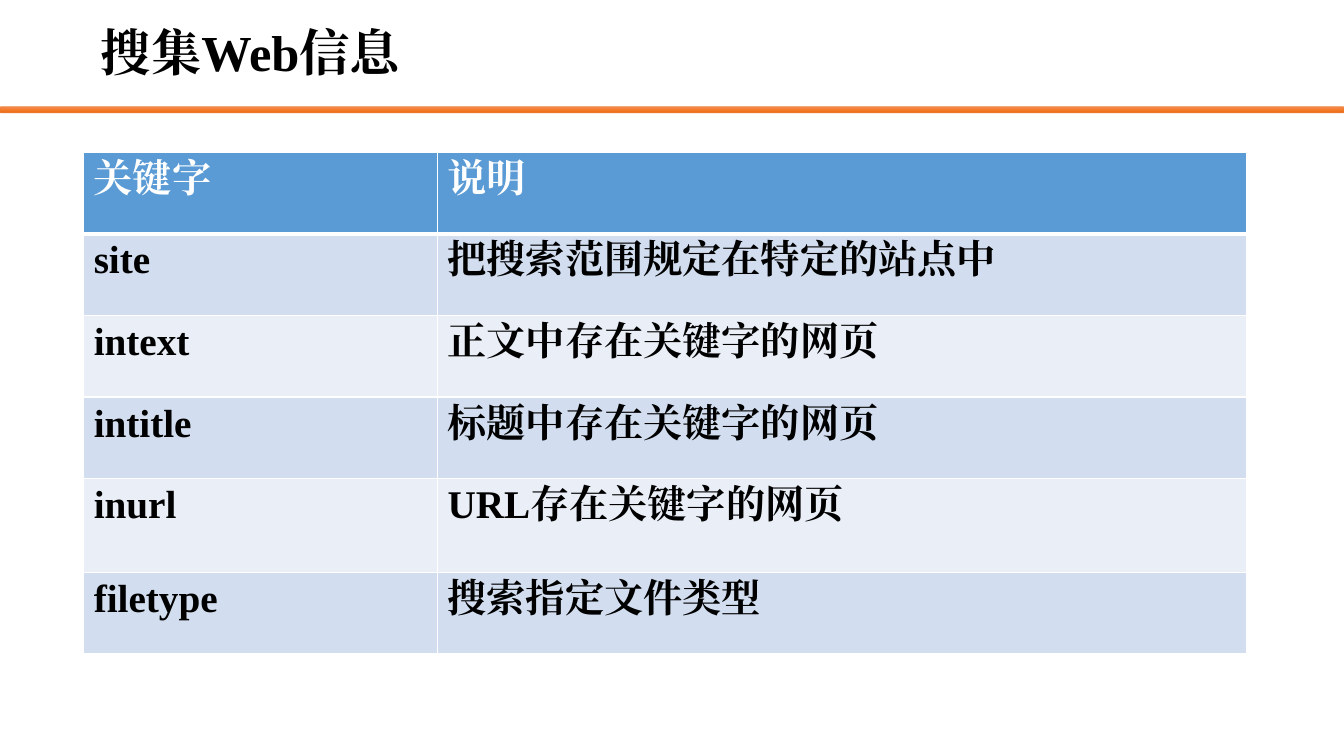
from copy import deepcopy
from dataclasses import dataclass

from pptx import Presentation
from pptx.dml.color import RGBColor
from pptx.enum.shapes import MSO_SHAPE
from pptx.enum.text import MSO_ANCHOR
from pptx.oxml import parse_xml
from pptx.oxml.ns import nsdecls, qn
from pptx.slide import Slide
from pptx.table import _Cell
from pptx.text.text import _Paragraph
from pptx.util import Emu, Pt


@dataclass(frozen=True)
class Theme:
    font: str = "Times New Roman"
    title_size: int = 36
    table_size: int = 28
    text: str = "000000"
    white: str = "FFFFFF"
    header: str = "5B9BD5"
    bands: tuple[str, str] = ("D2DEEF", "EAEFF7")
    rule_line: str = "ED7D31"
    rule_stops: tuple[str, str, str] = ("F18C57", "F67B28", "E56C19")


@dataclass(frozen=True)
class Entry:
    keyword: str
    meaning: str
    height: int = 81


THEME = Theme()
PX_PER_INCH = 100
COLUMNS = (351, 802)
ENTRIES = (
    Entry("关键字", "说明"),
    Entry("site", "把搜索范围规定在特定的站点中"),
    Entry("intext", "正文中存在关键字的网页"),
    Entry("intitle", "标题中存在关键字的网页"),
    Entry("inurl", "URL存在关键字的网页", 93),
    Entry("filetype", "搜索指定文件类型"),
)


def px(n: int) -> Emu:
    return Emu(n * 914400 // PX_PER_INCH)


def rgb(value: str) -> RGBColor:
    return RGBColor.from_string(value)


def add_run(p: _Paragraph, text: str, size: int, color: str) -> None:
    r = p.add_run()
    r.text = text
    r.font.size = Pt(size)
    r.font.bold = True
    r.font.color.rgb = rgb(color)
    r.font.name = THEME.font
    rPr = r._r.get_or_add_rPr()
    rPr.set("lang", "zh-CN")
    rPr.find(qn("a:latin")).addnext(
        parse_xml(f'<a:ea {nsdecls("a")} typeface="{THEME.font}"/>')
    )


def add_rule(s: Slide) -> None:
    sp = s.shapes.add_shape(
        MSO_SHAPE.ROUNDED_RECTANGLE, px(0), px(106), px(1333), px(6)
    )
    sp.shadow.inherit = False
    sp.line.color.rgb = rgb(THEME.rule_line)
    sp.line.width = Pt(0.5)
    sp.fill.gradient()
    sp.fill.gradient_angle = 270
    stops = sp._element.spPr.find(qn("a:gradFill")).find(qn("a:gsLst"))
    stops.insert(1, deepcopy(stops[0]))
    for i, (stop, color) in enumerate(zip(sp.fill.gradient_stops, THEME.rule_stops)):
        stop.position = i / 2
        stop.color.rgb = rgb(color)


def add_title(s: Slide, text: str) -> None:
    tf = s.shapes.add_textbox(px(90), px(6), px(1150), px(98)).text_frame
    tf.word_wrap = True
    tf.vertical_anchor = MSO_ANCHOR.MIDDLE
    p = tf.paragraphs[0]
    p.line_spacing = 0.9
    add_run(p, text, THEME.title_size, THEME.text)


def set_borders(cell: _Cell, top: int, bottom: int) -> None:
    tcPr = cell._tc.get_or_add_tcPr()
    for side, width in (("L", 1), ("R", 1), ("T", top), ("B", bottom)):
        tcPr.append(parse_xml(
            f'<a:ln{side} {nsdecls("a")} w="{Pt(width)}"><a:solidFill>'
            f'<a:srgbClr val="{THEME.white}"/></a:solidFill></a:ln{side}>'
        ))


def add_keyword_table(s: Slide) -> None:
    table = s.shapes.add_table(
        len(ENTRIES), len(COLUMNS), px(83), px(151),
        px(sum(COLUMNS)), px(sum(e.height for e in ENTRIES)),
    ).table
    for column, width in zip(table.columns, COLUMNS):
        column.width = px(width)
    for i, entry in enumerate(ENTRIES):
        table.rows[i].height = px(entry.height)
        fill = THEME.bands[(i - 1) % 2] if i else THEME.header
        color = THEME.text if i else THEME.white
        for j, text in enumerate((entry.keyword, entry.meaning)):
            cell = table.cell(i, j)
            set_borders(cell, 3 if i == 1 else 1, 3 if i == 0 else 1)
            cell.fill.solid()
            cell.fill.fore_color.rgb = rgb(fill)
            add_run(cell.text_frame.paragraphs[0], text, THEME.table_size, color)


def main() -> None:
    """Build the slide on search keywords for gathering web information."""
    prs = Presentation()
    prs.slide_width, prs.slide_height = px(1333), px(750)
    s = prs.slides.add_slide(prs.slide_layouts[6])
    add_rule(s)
    add_title(s, "搜集Web信息")
    add_keyword_table(s)
    prs.save("out.pptx")


if __name__ == "__main__":
    main()
